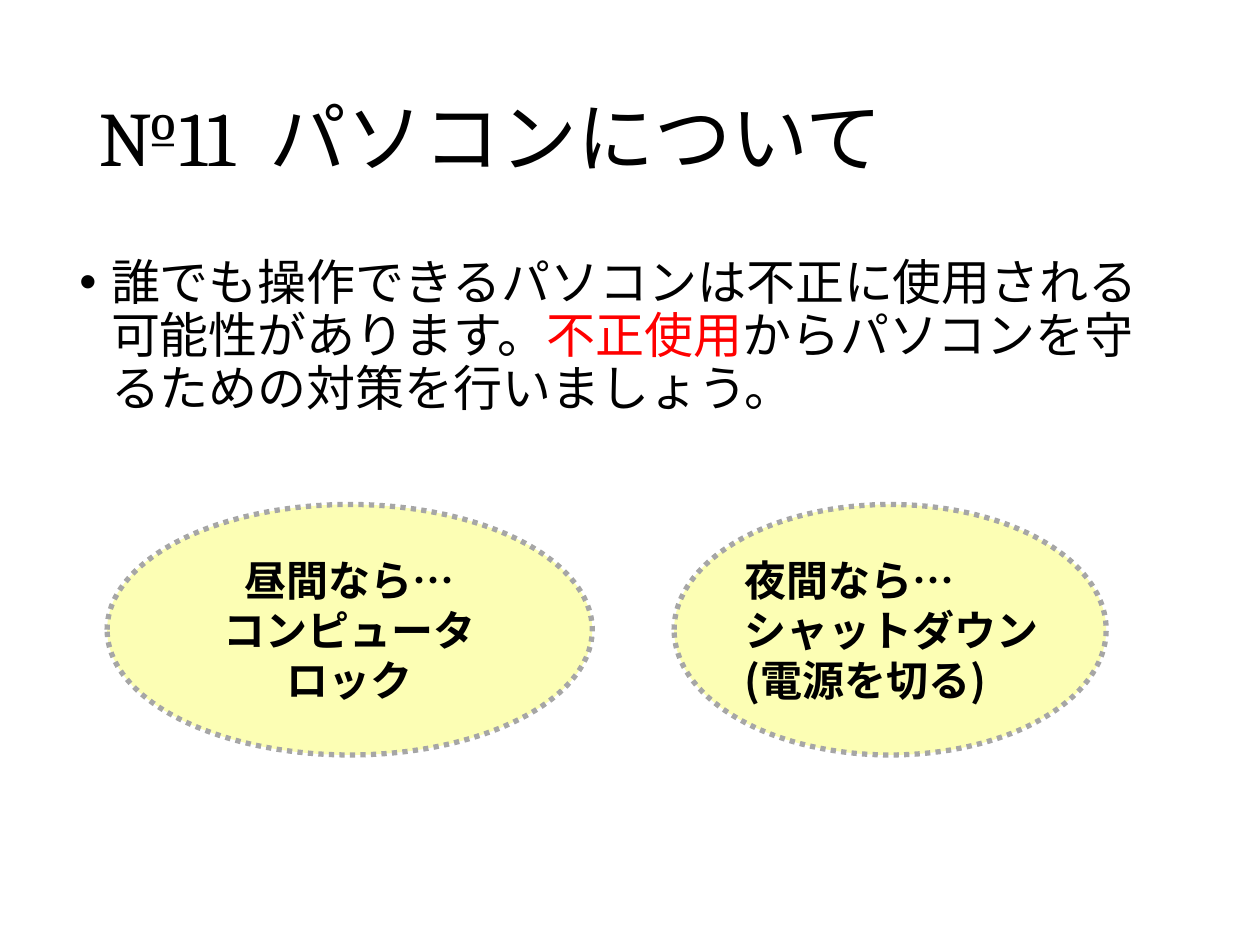
from dataclasses import dataclass

from lxml import etree
from pptx import Presentation
from pptx.dml.color import RGBColor
from pptx.enum.dml import MSO_LINE
from pptx.enum.lang import MSO_LANGUAGE_ID
from pptx.enum.shapes import MSO_SHAPE
from pptx.enum.text import MSO_ANCHOR, PP_ALIGN
from pptx.oxml.ns import qn
from pptx.util import Cm, Pt

OVAL = MSO_SHAPE.OVAL
DOTS = MSO_LINE.ROUND_DOT
LEFT, CENTER = PP_ALIGN.LEFT, PP_ALIGN.CENTER
MIDDLE, TOP = MSO_ANCHOR.MIDDLE, MSO_ANCHOR.TOP
JAPANESE = MSO_LANGUAGE_ID.JAPANESE


@dataclass(frozen=True)
class Face:
    latin: str
    asian: str
    size: int
    bold: bool = False


@dataclass(frozen=True)
class Theme:
    number: Face = Face("Cambria", "Cambria", 44)
    title: Face = Face("Cambria", "Noto Sans CJK JP", 44)
    body: Face = Face("Calibri", "Noto Sans CJK JP", 28)
    label: Face = Face("Noto Sans CJK JP", "Noto Sans CJK JP", 24, True)
    ink: str = "000000"
    alert: str = "FF0000"
    fill: str = "FCFEB4"
    edge: str = "A6A6A6"
    stroke: int = 3


class Deck:
    """Build slides in one theme."""

    def __init__(self, theme):
        self.theme = theme
        self.prs = Presentation()
        self.prs.slide_width, self.prs.slide_height = Cm(25.4), Cm(19.05)
        self.slide = self.prs.slides.add_slide(self.prs.slide_layouts[5])

    def run(self, para, text, face, color=None):
        run = para.add_run()
        run.text = text
        font = run.font
        font.name, font.size, font.bold = face.latin, Pt(face.size), face.bold
        font.language_id = JAPANESE
        font.color.rgb = RGBColor.from_string(color or self.theme.ink)
        asian = etree.Element(qn("a:ea"), typeface=face.asian)
        font._element.find(qn("a:latin")).addnext(asian)

    def title(self, box, parts):
        shape = self.slide.shapes.title
        shape.left, shape.top, shape.width, shape.height = map(Cm, box)
        shape.text_frame.vertical_anchor = MIDDLE
        para = shape.text_frame.paragraphs[0]
        para.alignment, para.line_spacing = LEFT, 0.9
        for text, face in parts:
            self.run(para, text, face)

    def bullet(self, box, parts):
        frame = self.slide.shapes.add_textbox(*map(Cm, box)).text_frame
        frame.word_wrap, frame.vertical_anchor = True, TOP
        para = frame.paragraphs[0]
        para.line_spacing, para.space_before = 0.9, Pt(10)
        props = para._p.get_or_add_pPr()
        indent = Cm(0.64)
        props.set("marL", str(indent))
        props.set("indent", str(-indent))
        etree.SubElement(props, qn("a:buFont"), typeface="Arial")
        etree.SubElement(props, qn("a:buChar"), char="•")
        for text, color in parts:
            self.run(para, text, self.theme.body, color)

    def oval(self, box, paras, align, insets=(0.25, 0.25)):
        shape = self.slide.shapes.add_shape(OVAL, *map(Cm, box))
        shape.shadow.inherit = False
        shape.fill.solid()
        shape.fill.fore_color.rgb = RGBColor.from_string(self.theme.fill)
        shape.line.color.rgb = RGBColor.from_string(self.theme.edge)
        shape.line.width, shape.line.dash_style = Pt(self.theme.stroke), DOTS
        frame = shape.text_frame
        frame.word_wrap, frame.vertical_anchor = True, MIDDLE
        frame.margin_left, frame.margin_right = map(Cm, insets)
        for i, lines in enumerate(paras):
            para = frame.add_paragraph() if i else frame.paragraphs[0]
            para.alignment = align
            for j, line in enumerate(lines):
                if j:
                    para.add_line_break()
                self.run(para, line, self.theme.label)


def main():
    theme = Theme()
    deck = Deck(theme)
    deck.title((1.75, 1.02, 21.9, 3.68), [
        ("№11  ", theme.number),
        ("パソコンについて", theme.title),
    ])
    deck.bullet((1.35, 5.08, 22.3, 12.09), [
        ("誰でも操作できるパソコンは不正に使用される可能性があります。", theme.ink),
        ("不正使用", theme.alert),
        ("からパソコンを守るための対策を行いましょう。", theme.ink),
    ])
    top, height = 10.17, 5.05
    deck.oval((2.16, top, 9.78, height),
              [["昼間なら…"], ["コンピュータロック"]], CENTER)
    deck.oval((13.59, top, 8.71, height),
              [["夜間なら…", "シャットダウン(電源を切る)"]], LEFT, (0.15, 0))
    deck.prs.save("out.pptx")


if __name__ == "__main__":
    main()
